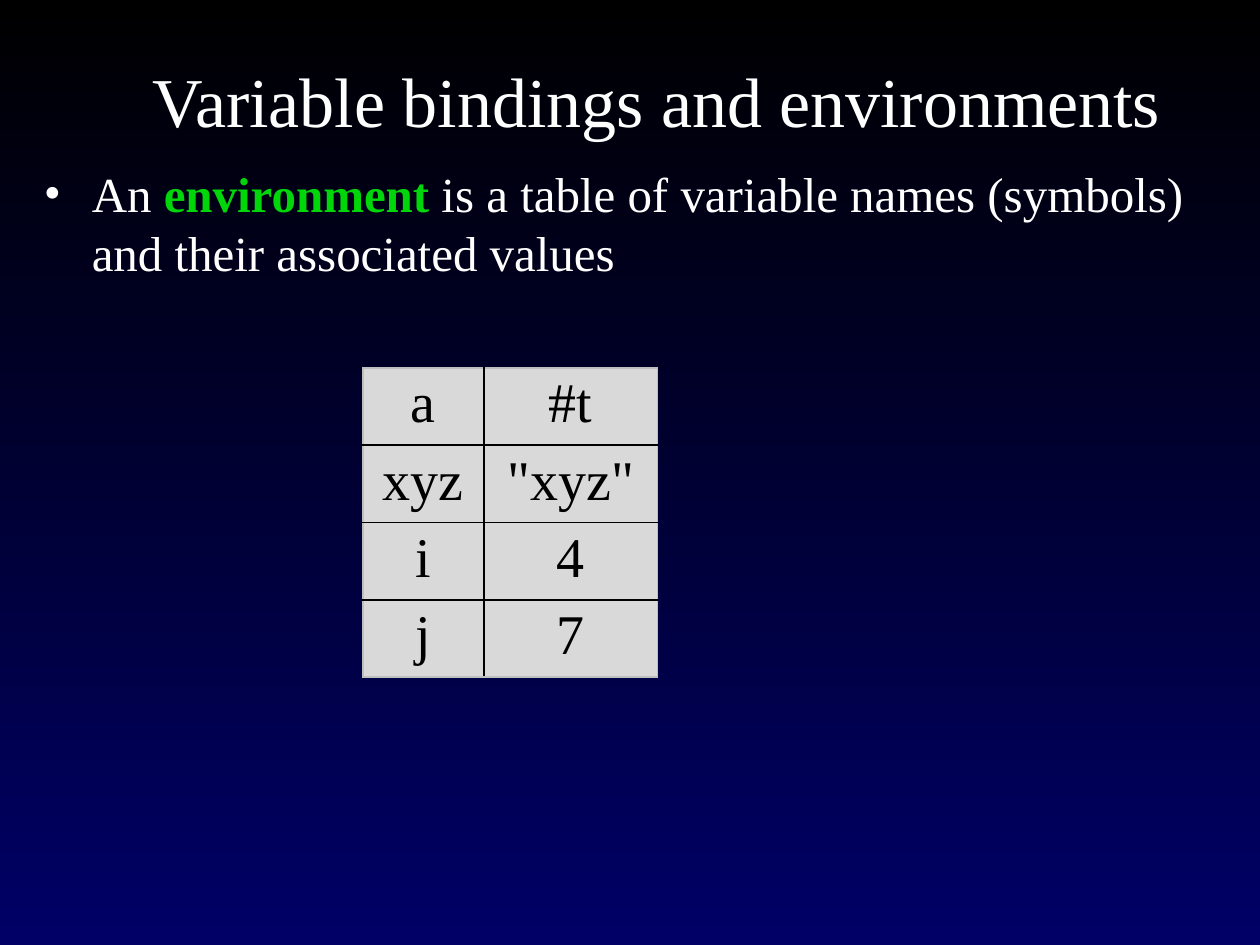
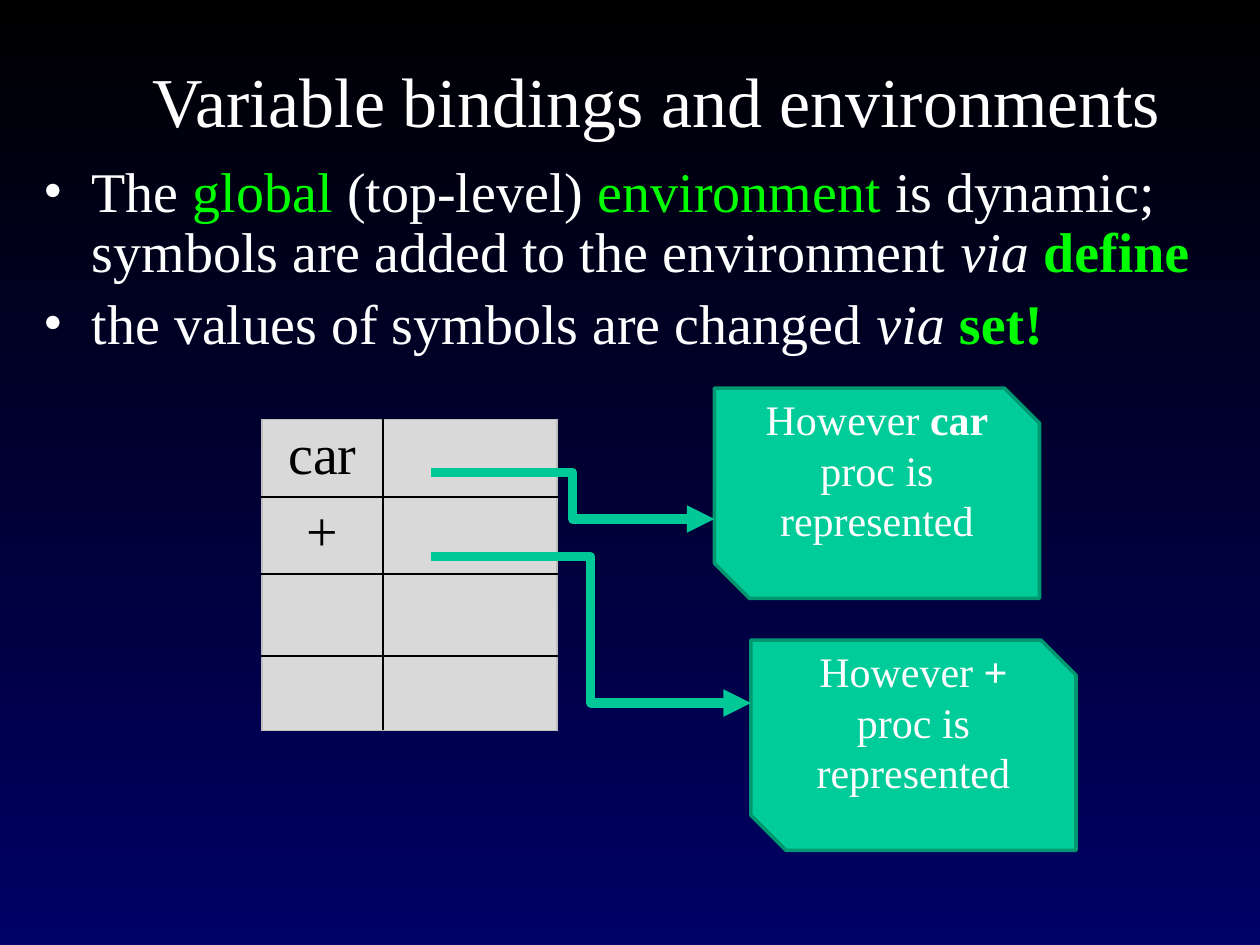
from lxml.etree import SubElement
from pptx import Presentation
from pptx.dml.color import RGBColor
from pptx.enum.shapes import MSO_CONNECTOR, MSO_SHAPE
from pptx.enum.text import MSO_ANCHOR, PP_ALIGN
from pptx.oxml.ns import qn
from pptx.util import Inches, Pt

FONT = "Times New Roman"
WHITE = RGBColor(0xFF, 0xFF, 0xFF)
BLACK = RGBColor(0x00, 0x00, 0x00)
NAVY = RGBColor(0x00, 0x00, 0x66)
GREEN = RGBColor(0x00, 0xD6, 0x09)
LIME = RGBColor(0x00, 0xFF, 0x00)
GRAY = RGBColor(0xD9, 0xD9, 0xD9)
EDGE = RGBColor(0xBF, 0xBF, 0xBF)
TEAL = RGBColor(0x00, 0xCC, 0x99)
TEAL_DARK = RGBColor(0x00, 0x97, 0x71)
TEAL_LINE = RGBColor(0x00, 0xC8, 0x96)

# Content: a run is (text, colour, style), where style holds "b" and "i"
TITLE = "Variable bindings and environments"
SLIDES = [
    {
        "size": 28,
        "spacing": 1.0,
        "bullets": [
            [("An ", WHITE, ""), ("environment ", GREEN, "b"),
             ("is a table of variable names (symbols) and their associated values", WHITE, "")],
        ],
        "table_at": (2.88, 2.92),
        "row_heights": [0.59, 0.6, 0.59, 0.6],
        "bindings": [("a", "#t"), ("xyz", '"xyz"'), ("i", "4"), ("j", "7")],
        "procs": [],
    },
    {
        "size": 32,
        "spacing": 0.9,
        "bullets": [
            [("The ", WHITE, ""), ("global", LIME, ""), (" (top-level) ", WHITE, ""),
             ("environment", LIME, ""),
             (" is dynamic; symbols are added to the environment ", WHITE, ""),
             ("via ", WHITE, "i"), ("define", LIME, "b")],
            [("the values of symbols are changed ", WHITE, ""),
             ("via ", WHITE, "i"), ("set!", LIME, "b")],
        ],
        "table_at": (2.08, 3.33),
        "row_heights": [0.6, 0.59, 0.65, 0.59],
        "bindings": [("car", ""), ("+", ""), ("", ""), ("", "")],
        # Name, box left and top, arrow start and end heights
        "procs": [("car", 5.67, 3.08, 3.75, 4.12), ("+", 5.96, 5.08, 4.42, 5.58)],
    },
]
COLUMN_WIDTHS = [0.96, 1.38]
PROC_SIZE = (2.58, 1.67)
ARROW_LEFT = 3.42


def add_runs(p, runs, size):
    for text, color, style in runs:
        r = p.add_run()
        r.text = text
        r.font.name, r.font.size = FONT, Pt(size)
        r.font.color.rgb = color
        r.font.bold, r.font.italic = "b" in style, "i" in style


def set_title(s):
    sp = s.shapes.title
    sp.left, sp.top, sp.width, sp.height = map(Inches, (0.42, 0.33, 9.58, 0.92))
    tf = sp.text_frame
    tf.vertical_anchor = MSO_ANCHOR.MIDDLE
    p = tf.paragraphs[0]
    p.alignment = PP_ALIGN.CENTER
    add_runs(p, [(TITLE, WHITE, "")], 40)


def add_bullets(s, bullets, size, spacing):
    tf = s.shapes.add_textbox(*map(Inches, (0.25, 1.25, 9.75, 5.42))).text_frame
    tf.word_wrap = True
    for i, runs in enumerate(bullets):
        p = tf.add_paragraph() if i else tf.paragraphs[0]
        p.line_spacing = spacing
        if i:
            p.space_before = Pt(size * 0.2)
        pPr = p._p.get_or_add_pPr()
        pPr.set("marL", str(Inches(0.38)))
        pPr.set("indent", str(-Inches(0.38)))
        SubElement(pPr, qn("a:buFont"), typeface=FONT)
        SubElement(pPr, qn("a:buChar"), char="•")
        add_runs(p, runs, size)


def set_borders(cell, inner):
    tcPr = cell._tc.get_or_add_tcPr()
    for side, is_inner in zip("LRTB", inner):
        ln = SubElement(tcPr, qn(f"a:ln{side}"), w=str(Pt(1)))
        fill = SubElement(ln, qn("a:solidFill"))
        SubElement(fill, qn("a:srgbClr"), val=str(BLACK if is_inner else EDGE))


def add_environment(s, at, bindings, row_heights):
    n_rows, n_cols = len(bindings), len(COLUMN_WIDTHS)
    size = sum(COLUMN_WIDTHS), sum(row_heights)
    table = s.shapes.add_table(n_rows, n_cols, *map(Inches, at + size)).table
    table.first_row = table.horz_banding = False
    for column, width in zip(table.columns, COLUMN_WIDTHS):
        column.width = Inches(width)
    for i, binding in enumerate(bindings):
        table.rows[i].height = Inches(row_heights[i])
        for j, text in enumerate(binding):
            cell = table.cell(i, j)
            set_borders(cell, (j > 0, j < n_cols - 1, i > 0, i < n_rows - 1))
            cell.fill.solid()
            cell.fill.fore_color.rgb = GRAY
            cell.margin_top = cell.margin_bottom = Inches(0.04)
            if text:
                p = cell.text_frame.paragraphs[0]
                p.alignment = PP_ALIGN.CENTER
                add_runs(p, [(text, BLACK, "")], 32)


def add_proc(s, name, left, top):
    sp = s.shapes.add_shape(MSO_SHAPE.SNIP_2_DIAG_RECTANGLE,
                            *map(Inches, (left, top) + PROC_SIZE))
    sp.shadow.inherit = False
    sp.fill.solid()
    sp.fill.fore_color.rgb = TEAL
    sp.line.color.rgb = TEAL_DARK
    sp.line.width = Pt(2)
    tf = sp.text_frame
    tf.word_wrap = True
    tf.vertical_anchor = MSO_ANCHOR.MIDDLE
    tf.margin_bottom = Inches(0.43)
    p = tf.paragraphs[0]
    p.alignment = PP_ALIGN.CENTER
    add_runs(p, [("However ", WHITE, ""), (name, WHITE, "b"),
                 (" proc is represented", WHITE, "")], 24)


def add_arrow(s, start, end):
    cxn = s.shapes.add_connector(MSO_CONNECTOR.ELBOW, *map(Inches, start + end))
    cxn.line.color.rgb = TEAL_LINE
    cxn.line.width = Pt(5.25)
    SubElement(cxn.line._get_or_add_ln(), qn("a:tailEnd"), type="triangle")
    SubElement(cxn._element.spPr, qn("a:effectLst"))


def main():
    prs = Presentation()
    prs.slide_width, prs.slide_height = Inches(10), Inches(7.5)

    # Shared background
    fill = prs.slide_master.background.fill
    fill.gradient()
    fill.gradient_angle = 270
    for stop, color in zip(fill.gradient_stops, (BLACK, NAVY)):
        stop.color.rgb = color

    for content in SLIDES:
        s = prs.slides.add_slide(prs.slide_layouts[5])
        set_title(s)
        add_bullets(s, content["bullets"], content["size"], content["spacing"])
        add_environment(s, content["table_at"], content["bindings"], content["row_heights"])
        # Procedures, then the arrows that lead to them
        for name, left, top, _, _ in content["procs"]:
            add_proc(s, name, left, top)
        for _, left, _, start_y, end_y in content["procs"]:
            add_arrow(s, (ARROW_LEFT, start_y), (left, end_y))

    prs.save("out.pptx")


if __name__ == "__main__":
    main()
